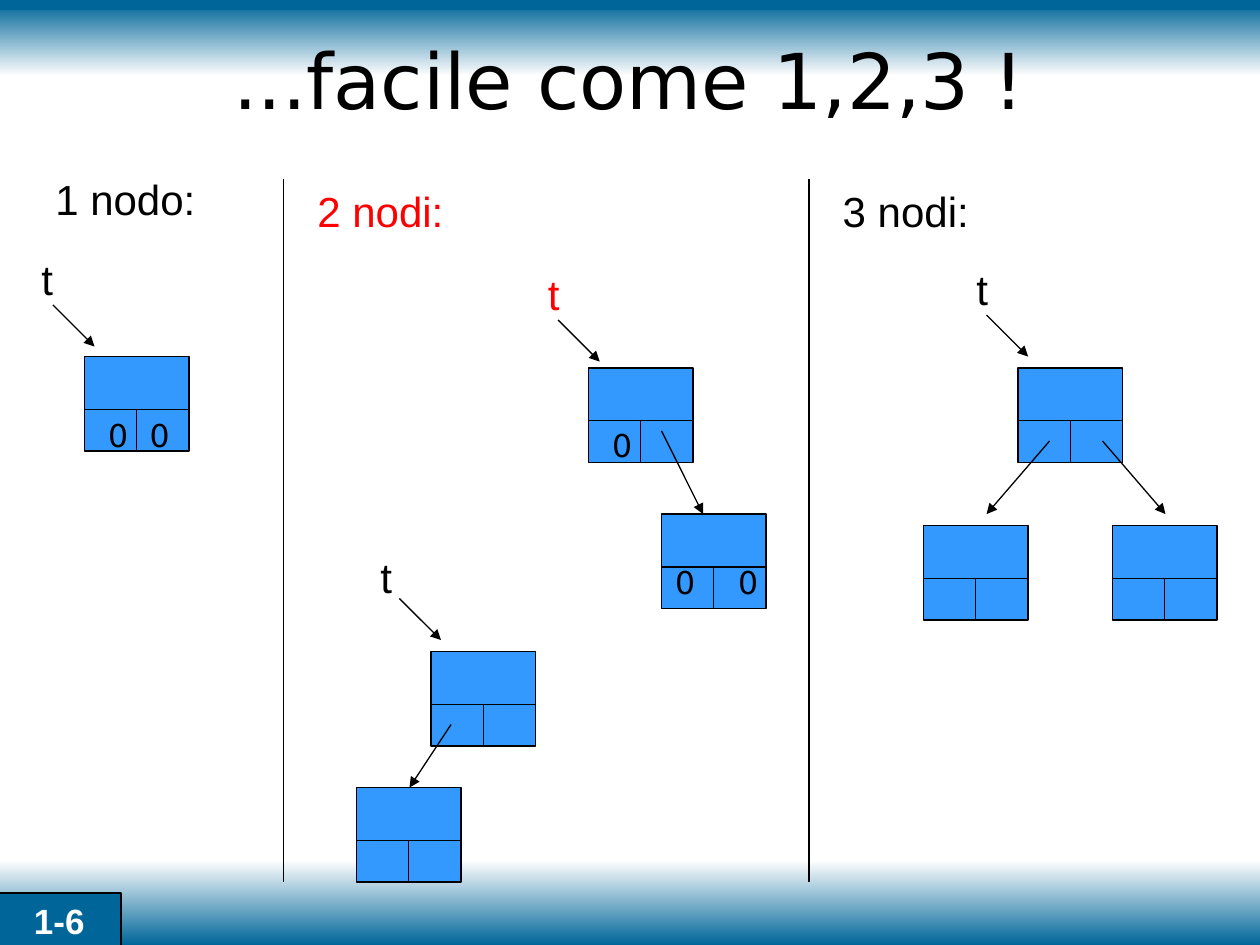
from dataclasses import dataclass
from lxml.etree import SubElement
from pptx import Presentation
from pptx.dml.color import RGBColor
from pptx.enum.shapes import MSO_CONNECTOR, MSO_SHAPE
from pptx.enum.text import MSO_ANCHOR, MSO_AUTO_SIZE, PP_ALIGN
from pptx.oxml.ns import qn
from pptx.util import Inches, Pt

BLACK = RGBColor(0x00, 0x00, 0x00)
WHITE = RGBColor(0xFF, 0xFF, 0xFF)
PALE = RGBColor(0xFE, 0xFE, 0xFE)
RED = RGBColor(0xFF, 0x00, 0x00)
TEAL = RGBColor(0x00, 0x66, 0x99)
NODE_BLUE = RGBColor(0x33, 0x99, 0xFF)
NODE_WIDTH, NODE_HEIGHT, DATA_HEIGHT = 0.83, 0.75, 0.42
PANEL_TOP, PANEL_BOTTOM = 1.42, 7


@dataclass
class Panel:
    """One column of the slide: its heading, nodes, pointers and links."""
    left: float
    heading: tuple
    nodes: list
    pointers: list
    links: list


PANELS = [
    Panel(0, ("1 nodo:", 0.34, -0.09, 1.31, BLACK),
          [(0.67, 1.41, [(0.09, 0.42), (0.42, 0.42)])],
          [((0.23, 0.54), (0.42, 1), BLACK)],
          []),
    Panel(2.25, ("2 nodi:", 0.17, 0, 1.29, RED),
          [(2.42, 1.5, [(0.09, 0.41)]), (3, 2.66, [(0.01, 0.34), (0.51, 0.34)]),
           (1.17, 3.75, []), (0.58, 4.83, [])],
          [((2, 0.66), (2.18, 1.12), RED), ((0.67, 2.91), (0.92, 3.33), BLACK)],
          [((3, 2), (3.33, 2.66)), ((1.33, 4.33), (1, 4.83))]),
    Panel(6.42, ("3 nodi:", 0.17, 0, 1.2, BLACK),
          [(1.66, 1.5, []), (0.91, 2.75, []), (2.41, 2.75, [])],
          [((1.23, 0.62), (1.41, 1.08), BLACK)],
          [((2.33, 2.08), (2.83, 2.66)), ((1.91, 2.08), (1.41, 2.66))]),
]


def add_text(frame, text, size, color, font="Arial", bold=False, align=PP_ALIGN.LEFT):
    """Write one formatted run into the frame's first paragraph."""
    para = frame.paragraphs[0]
    para.alignment = align
    span = para.add_run()
    span.text = text
    span.font.size = Pt(size)
    span.font.name = font
    span.font.bold = bold
    span.font.color.rgb = color


def add_label(page, left, top, width, height, text, size, color, font="Arial"):
    """Place a single-line text box."""
    box = page.shapes.add_textbox(Inches(left), Inches(top), Inches(width), Inches(height))
    box.text_frame.word_wrap = False
    box.text_frame.auto_size = MSO_AUTO_SIZE.SHAPE_TO_FIT_TEXT
    add_text(box.text_frame, text, size, color, font)


def add_line(page, start, end, color=BLACK, width=0.75, arrow=False):
    """Draw a straight connector, with an arrowhead at its end if asked."""
    points = [Inches(value) for value in (*start, *end)]
    connector = page.shapes.add_connector(MSO_CONNECTOR.STRAIGHT, *points)
    connector.line.color.rgb = color
    connector.line.width = Pt(width)
    if arrow:
        SubElement(connector.line._get_or_add_ln(), qn("a:tailEnd"), type="triangle")
    SubElement(connector.element.spPr, qn("a:effectLst"))


def add_rectangle(page, left, top, width, height):
    """Add a rectangle without shadow."""
    shape = page.shapes.add_shape(MSO_SHAPE.RECTANGLE, Inches(left), Inches(top),
                                  Inches(width), Inches(height))
    shape.shadow.inherit = False
    return shape


def add_band(page, top, height, upper, lower):
    """Add a full-width band that fades from the upper to the lower colour."""
    band = add_rectangle(page, 0, top, 10, height)
    band.line.fill.background()
    band.fill.gradient()
    band.fill.gradient_angle = 270
    for stop, position, color in zip(band.fill.gradient_stops, (0, 1), (upper, lower)):
        stop.position = position
        stop.color.rgb = color


def add_frame(page):
    """Draw the slide's bands, top rule and page number."""
    add_band(page, 0.02, 0.58, TEAL, PALE)
    add_band(page, 6.83, 0.67, PALE, TEAL)
    add_line(page, (0, 0.04), (10, 0.04), TEAL, 6)
    badge = add_rectangle(page, -0.02, 7.09, 0.98, 0.44)
    badge.fill.solid()
    badge.fill.fore_color.rgb = TEAL
    badge.line.color.rgb = BLACK
    badge.line.width = Pt(1)
    badge.text_frame.vertical_anchor = MSO_ANCHOR.TOP
    add_text(badge.text_frame, "1-6", 20, WHITE, bold=True, align=PP_ALIGN.CENTER)


def add_title(page):
    """Format the title placeholder and bring it in front of the bands."""
    title = page.shapes.title
    title.left, title.top = Inches(0.75), Inches(0)
    title.width, title.height = Inches(8.5), Inches(1.25)
    title.text_frame.vertical_anchor = MSO_ANCHOR.MIDDLE
    add_text(title.text_frame, "...facile come 1,2,3 !", 44, BLACK, "DejaVu Sans",
             align=PP_ALIGN.CENTER)
    title.element.getparent().append(title.element)


def add_node(page, left, top, zeros):
    """Draw a tree node with a data field, two link fields and its null links."""
    node = add_rectangle(page, left, top, NODE_WIDTH, NODE_HEIGHT)
    node.fill.solid()
    node.fill.fore_color.rgb = NODE_BLUE
    node.line.color.rgb = BLACK
    node.line.width = Pt(0.75)
    split, middle = top + DATA_HEIGHT, left + NODE_WIDTH / 2
    add_line(page, (left, split), (left + NODE_WIDTH, split))
    add_line(page, (middle, split), (middle, top + NODE_HEIGHT))
    for x, y in zeros:
        add_label(page, left + x, top + y, 0.34, 0.4, "0", 18, BLACK, "DejaVu Sans")


def add_panel(page, panel):
    """Draw one column, with every part placed from the panel's corner."""
    def place(point):
        return panel.left + point[0], PANEL_TOP + point[1]

    text, x, y, width, color = panel.heading
    add_label(page, *place((x, y)), width, 0.5, text, 24, color)
    for x, y, zeros in panel.nodes:
        add_node(page, *place((x, y)), zeros)
    for label, start, color in panel.pointers:
        add_label(page, *place(label), 0.29, 0.5, "t", 24, color)
        end = start[0] + 0.33, start[1] + 0.33
        add_line(page, place(start), place(end), arrow=True)
    for start, end in panel.links:
        add_line(page, place(start), place(end), arrow=True)
    if panel.left:
        add_line(page, (panel.left, PANEL_TOP), (panel.left, PANEL_BOTTOM))


def main():
    """Build and save the slide."""
    deck = Presentation()
    deck.slide_width, deck.slide_height = Inches(10), Inches(7.5)
    page = deck.slides.add_slide(deck.slide_layouts[5])
    add_frame(page)
    add_title(page)
    for panel in PANELS:
        add_panel(page, panel)
    deck.save("out.pptx")


if __name__ == "__main__":
    main()
